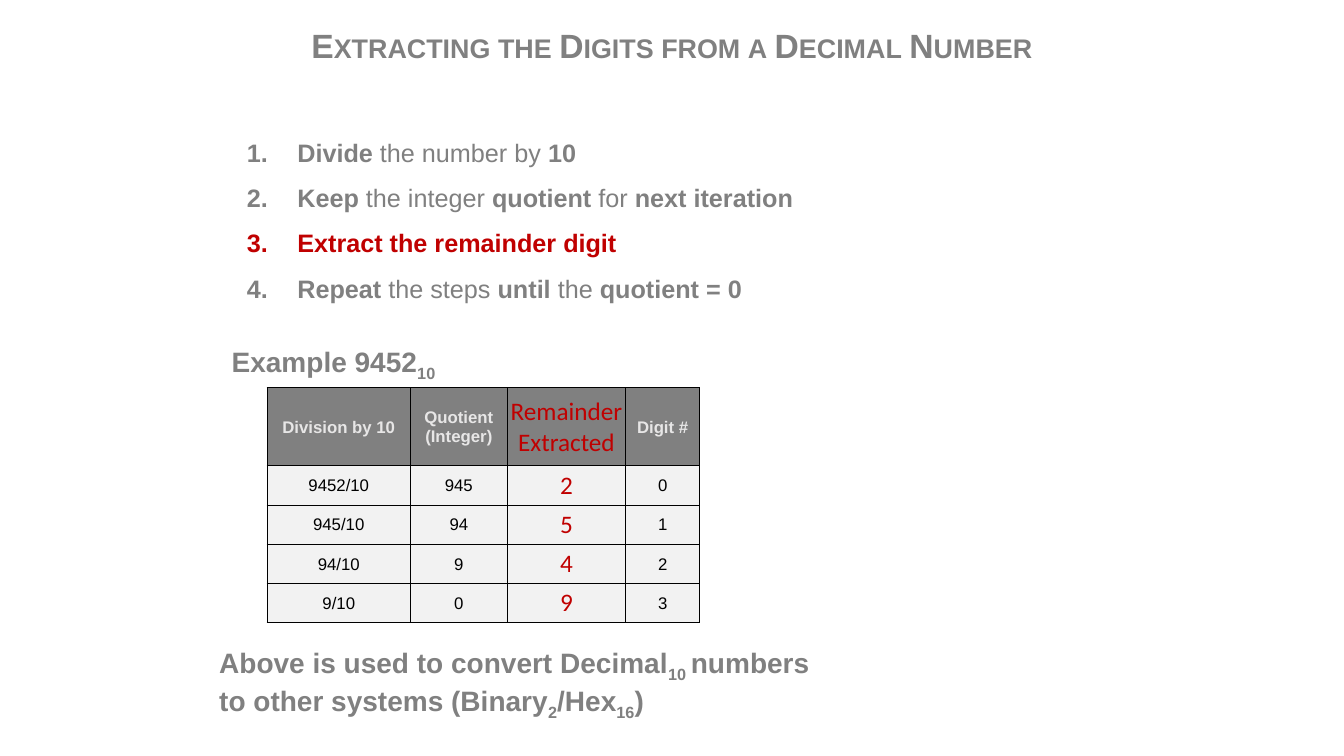
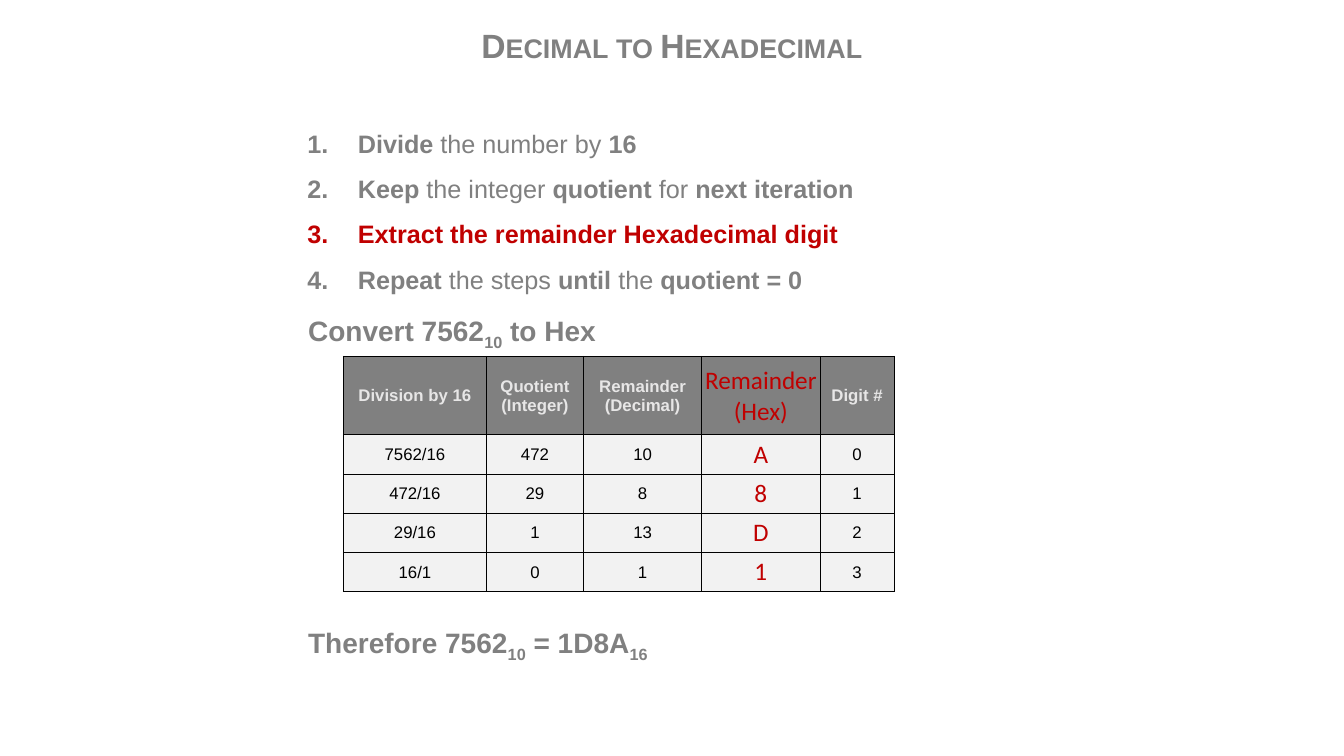
from copy import deepcopy
from dataclasses import dataclass

from lxml import etree
from pptx import Presentation
from pptx.dml.color import RGBColor
from pptx.enum import text
from pptx.oxml.ns import qn
from pptx.util import Pt


@dataclass(frozen=True)
class Theme:
    grey: str = "808080"
    red: str = "C00000"
    black: str = "000000"
    header_text: str = "E7E6E6"
    row_fill: str = "F2F2F2"
    font: str = "Arial"
    accent_font: str = "Calibri"
    title_size: float = 24
    caption_size: float = 20
    step_size: float = 18
    accent_size: float = 18
    cell_size: float = 12
    inner_line: float = 0.5
    outer_line: float = 1


@dataclass(frozen=True)
class Box:
    left: float
    top: float
    width: float
    height: float

    def place(self, shape):
        shape.left, shape.top = Pt(self.left), Pt(self.top)
        shape.width, shape.height = Pt(self.width), Pt(self.height)


THEME = Theme()
TITLE_BOX = Box(171.4, 14.4, 617, 36)
HEADER_HEIGHT, ROW_HEIGHT = 55.8, 28
DIVISION, QUOTIENT, REMAINDER, DIGIT = 102.2, 69.3, 84.5, 53


def style_run(run, size, color, bold=True, font=THEME.font):
    run.font.name = font
    run.font.size = Pt(size)
    run.font.bold = bold
    run.font.color.rgb = RGBColor.from_string(color)


def add_marked_runs(paragraph, marked, mark):
    for position, part in enumerate(marked.split(mark)):
        if part:
            run = paragraph.add_run()
            run.text = part
            yield run, position % 2 == 1


def prepare_frame(frame):
    frame.word_wrap = True
    frame.auto_size = text.MSO_AUTO_SIZE.NONE
    frame.vertical_anchor = text.MSO_ANCHOR.TOP


def write_title(slide, box, heading):
    title = slide.shapes.title
    box.place(title)
    prepare_frame(title.text_frame)
    title.text_frame.text = heading
    paragraph = title.text_frame.paragraphs[0]
    paragraph.alignment = text.PP_ALIGN.CENTER
    for run in paragraph.runs:
        style_run(run, THEME.title_size, THEME.grey)
        run.font._element.set("cap", "small")


def write_steps(slide, box, divisor, extracted):
    steps = [
        f"*Divide* the number by *{divisor}*",
        "*Keep* the integer* quotient *for* next iteration*",
        f"*Extract the remainder {extracted}*",
        "*Repeat* the steps *until* the *quotient = 0*",
    ]
    body = slide.placeholders[1]
    box.place(body)
    frame = body.text_frame
    prepare_frame(frame)
    for index, step in enumerate(steps):
        paragraph = frame.paragraphs[0] if index == 0 else frame.add_paragraph()
        paragraph.line_spacing = 1.5
        paragraph.space_before = Pt(0)
        properties = paragraph._p.get_or_add_pPr()
        properties.set("marL", str(Pt(36)))
        properties.set("indent", str(-Pt(36)))
        etree.SubElement(properties, qn("a:buFont"), typeface="+mj-lt")
        etree.SubElement(properties, qn("a:buAutoNum"), type="arabicPeriod")
        color = THEME.red if step.startswith("*Extract") else THEME.grey
        for run, bold in add_marked_runs(paragraph, step, "*"):
            style_run(run, THEME.step_size, color, bold)


def write_caption(slide, box, lines):
    caption = slide.shapes.add_textbox(0, 0, 0, 0)
    box.place(caption)
    frame = caption.text_frame
    prepare_frame(frame)
    for index, line in enumerate(lines):
        paragraph = frame.paragraphs[0] if index == 0 else frame.add_paragraph()
        for run, subscript in add_marked_runs(paragraph, line, "~"):
            style_run(run, THEME.caption_size, THEME.grey)
            if subscript:
                run.font._element.set("baseline", "-25000")


def draw_borders(cell, outer_sides):
    properties = cell._tc.get_or_add_tcPr()
    for index, side in enumerate("LRTB"):
        width = THEME.outer_line if side in outer_sides else THEME.inner_line
        border = etree.Element(qn(f"a:ln{side}"), w=str(Pt(width)))
        fill = etree.SubElement(border, qn("a:solidFill"))
        etree.SubElement(fill, qn("a:srgbClr"), val=THEME.black)
        properties.insert(index, border)


def write_cell(cell, value, is_header, is_extracted):
    cell.fill.solid()
    cell.fill.fore_color.rgb = RGBColor.from_string(
        THEME.grey if is_header else THEME.row_fill)
    cell.vertical_anchor = text.MSO_ANCHOR.MIDDLE
    cell.margin_left = cell.margin_right = cell.margin_top = Pt(0.7)
    cell.margin_bottom = 0
    paragraph = cell.text_frame.paragraphs[0]
    paragraph.text = value
    paragraph.alignment = text.PP_ALIGN.CENTER
    for run in paragraph.runs:
        if is_extracted:
            style_run(run, THEME.accent_size, THEME.red, False, THEME.accent_font)
        else:
            color = THEME.header_text if is_header else THEME.black
            style_run(run, THEME.cell_size, color, is_header)
    for line_break in paragraph._p.findall(qn("a:br")):
        line_break.append(deepcopy(paragraph.runs[0].font._element))


def draw_divisions(slide, box, widths, rows):
    division_table = slide.shapes.add_table(
        len(rows), len(widths),
        Pt(box.left), Pt(box.top), Pt(box.width), Pt(box.height)).table
    division_table.first_row = division_table.horz_banding = False
    for column, width in zip(division_table.columns, widths):
        column.width = Pt(width)
    last_row, last_column = len(rows) - 1, len(widths) - 1
    for r, values in enumerate(rows):
        division_table.rows[r].height = Pt(ROW_HEIGHT if r else HEADER_HEIGHT)
        for c, value in enumerate(values):
            cell = division_table.cell(r, c)
            write_cell(cell, value, r == 0, c == last_column - 1)
            edges = {"L": c == 0, "R": c == last_column,
                     "T": r == 0, "B": r == last_row}
            draw_borders(cell, [side for side, outer in edges.items() if outer])


def build_conversion(deck, content):
    slide = deck.slides.add_slide(deck.slide_layouts[1])
    write_title(slide, TITLE_BOX, content["heading"])
    write_steps(slide, content["steps_box"], content["divisor"], content["extracted"])
    write_caption(slide, content["example_box"], [content["example"]])
    widths, rows = content["widths"], content["rows"]
    left, top = content["table_corner"]
    height = HEADER_HEIGHT + ROW_HEIGHT * (len(rows) - 1)
    draw_divisions(slide, Box(left, top, sum(widths), height), widths, rows)
    write_caption(slide, content["result_box"], content["result"])


CONVERSIONS = [
    {
        "heading": "Extracting the Digits from a Decimal Number",
        "steps_box": Box(169.2, 83.5, 460, 134),
        "divisor": 10,
        "extracted": "digit",
        "example_box": Box(158.4, 242.6, 235.4, 31.7),
        "example": "Example 9452~10~",
        "table_corner": (190.9, 276.9),
        "widths": [DIVISION, QUOTIENT, REMAINDER, DIGIT],
        "rows": [
            ["Division by 10", "Quotient\n(Integer)", "Remainder\nExtracted", "Digit #"],
            ["9452/10", "945", "2", "0"],
            ["945/10", "94", "5", "1"],
            ["94/10", "9", "4", "2"],
            ["9/10", "0", "9", "3"],
        ],
        "result_box": Box(149.5, 457.2, 499, 55.4),
        "result": ["Above is used to convert Decimal~10 ~numbers",
                   "to other systems (Binary~2~/Hex~16~)"],
    },
    {
        "heading": "Decimal to Hexadecimal",
        "steps_box": Box(212.4, 77, 460, 134),
        "divisor": 16,
        "extracted": "Hexadecimal digit",
        "example_box": Box(213, 220.3, 235.4, 31.7),
        "example": "Convert 7562~10~ to Hex",
        "table_corner": (245.3, 254.7),
        "widths": [DIVISION, QUOTIENT, REMAINDER, REMAINDER, DIGIT],
        "rows": [
            ["Division by 16", "Quotient\n(Integer)", "Remainder\n(Decimal)",
             "Remainder\n(Hex)", "Digit #"],
            ["7562/16", "472", "10", "A", "0"],
            ["472/16", "29", "8", "8", "1"],
            ["29/16", "1", "13", "D", "2"],
            ["16/1", "0", "1", "1", "3"],
        ],
        "result_box": Box(213, 443.5, 480, 31.7),
        "result": ["Therefore 7562~10~ = 1D8A~16~"],
    },
]


def main():
    deck = Presentation()
    deck.slide_width, deck.slide_height = Pt(960), Pt(540)
    for content in CONVERSIONS:
        build_conversion(deck, content)
    deck.save("out.pptx")


if __name__ == "__main__":
    main()
